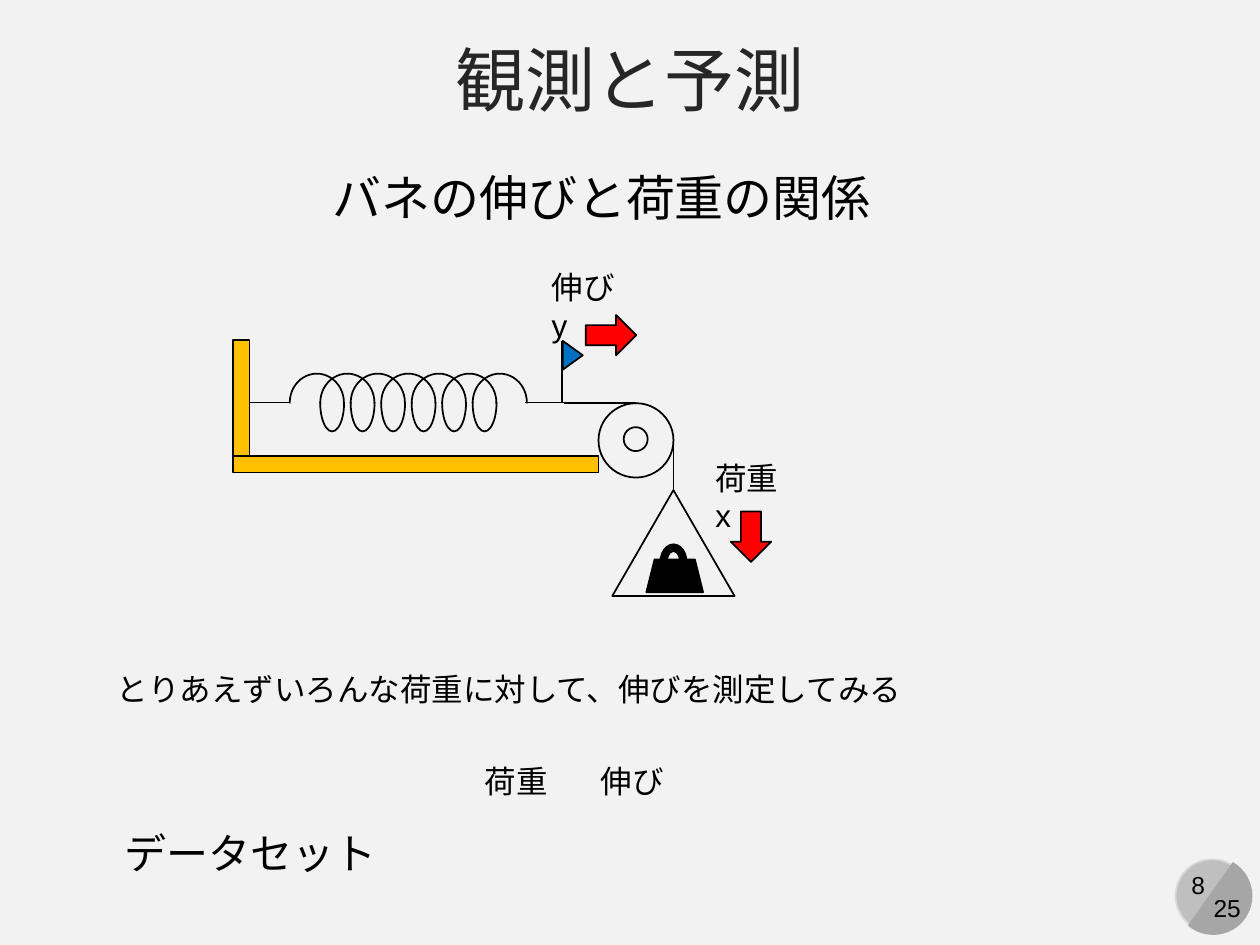
from lxml import etree
from pptx import Presentation
from pptx.dml.color import RGBColor
from pptx.enum.lang import MSO_LANGUAGE_ID as Language
from pptx.enum.shapes import MSO_CONNECTOR as Connector, MSO_SHAPE as Shape
from pptx.enum.text import MSO_ANCHOR as Anchor, PP_ALIGN as Align
from pptx.oxml.ns import qn
from pptx.util import Inches, Pt

BACKGROUND = RGBColor(0xF2, 0xF2, 0xF2)
TITLE = RGBColor(0x26, 0x26, 0x26)
BLACK = RGBColor(0x00, 0x00, 0x00)
WOOD = RGBColor(0xFF, 0xC0, 0x00)
ARROW = RGBColor(0xFF, 0x00, 0x00)
FLAG = RGBColor(0x00, 0x70, 0xC0)
BADGE = RGBColor(0xBF, 0xBF, 0xBF)
BADGE_EDGE = RGBColor(0xD9, 0xD9, 0xD9)
BADGE_SHADE = RGBColor(0xA6, 0xA6, 0xA6)

COLUMNS = 100  # square cells: 100 columns by 75 rows
COILS = 7
COIL_PITCH = 2.42
WIRE_ROW = 31.95


class SlideBuilder:
    """Holds the text style and the slide, and places elements on the grid."""

    font = {"name": "Arial", "language_id": Language.JAPANESE}

    def __init__(self, presentation):
        self.cell = presentation.slide_width / COLUMNS
        self.slide = presentation.slides.add_slide(presentation.slide_layouts[5])
        fill = self.slide.background.fill
        fill.solid()
        fill.fore_color.rgb = BACKGROUND

    def grid(self, *lengths):
        return [round(length * self.cell) for length in lengths]

    def set_text(self, frame, text, size, color=BLACK, align=Align.LEFT):
        frame.text = text
        paragraph = frame.paragraphs[0]
        paragraph.alignment = align
        font = paragraph.runs[0].font
        for name, value in {**self.font, "size": Pt(size)}.items():
            setattr(font, name, value)
        font.color.rgb = color

    def title(self, text, box, size):
        title = self.slide.shapes.title
        places = zip(("left", "top", "width", "height"), self.grid(*box))
        for name, value in places:
            setattr(title, name, value)
        title.text_frame.vertical_anchor = Anchor.MIDDLE
        self.set_text(title.text_frame, text, size, TITLE, Align.CENTER)

    def text(self, text, box, size=18, wrap=False, align=Align.LEFT):
        frame = self.slide.shapes.add_textbox(*self.grid(*box)).text_frame
        frame.word_wrap = wrap
        self.set_text(frame, text, size, align=align)

    def shape(self, kind, box, fill=None, line=BLACK, rotation=0, adjustments=()):
        shape = self.slide.shapes.add_shape(kind, *self.grid(*box))
        shape.shadow.inherit = False
        shape.rotation = rotation
        for index, value in enumerate(adjustments):
            shape.adjustments[index] = value
        if fill is None:
            shape.fill.background()
        else:
            shape.fill.solid()
            shape.fill.fore_color.rgb = fill
        if line is None:
            shape.line.fill.background()
        else:
            shape.line.color.rgb = line
            shape.line.width = Pt(1)
        return shape

    def line(self, start, end):
        connector = self.slide.shapes.add_connector(
            Connector.STRAIGHT, *self.grid(*start, *end))
        connector.line.color.rgb = BLACK
        connector.line.width = Pt(1)
        etree.SubElement(connector._element.spPr, qn("a:effectLst"))
        return connector

    def half_loop(self, center, width, rotation):
        """Draw half an ellipse: the upper half at 270 degrees, the lower at 90."""
        length = 4.6
        box = (center - length / 2, WIRE_ROW - width / 2, length, width)
        self.shape(Shape.ARC, box, rotation=rotation, adjustments=(161, 55))


def draw_badge(builder):
    builder.shape(Shape.OVAL, (93.3, 68.2, 5.8, 5.8), BADGE, BADGE_EDGE)
    builder.shape(Shape.CHORD, (93.2, 68, 6.2, 6.2), BADGE_SHADE, None, 255,
                  (27, 141.42))
    builder.text("8", (92.9, 68.6, 4.4, 3.4), 14, align=Align.CENTER)
    builder.text("25", (95.3, 70.4, 4.2, 3.4), 14, align=Align.CENTER)


def draw_spring(builder):
    builder.shape(Shape.RECTANGLE, (18.5, 27, 1.3, 9.2), WOOD)
    builder.shape(Shape.RECTANGLE, (18.5, 36.2, 29, 1.3), WOOD)
    first = 25.15
    for coil in range(COILS):
        center = first + coil * COIL_PITCH
        builder.half_loop(center, 4.3, 270)
        if coil < COILS - 1:
            builder.half_loop(center + COIL_PITCH / 2, 1.9, 90)
    for left, right in ((19.8, 23), (41.7, 44.9)):
        builder.line((left, WIRE_ROW), (right, WIRE_ROW))


def draw_load(builder):
    pulley = builder.shape(Shape.OVAL, (47.5, 32, 5.95, 5.9))
    builder.shape(Shape.OVAL, (49.5, 33.9, 1.9, 1.9))
    builder.line((44.8, 32), (50.4, 32)).end_connect(pulley, 0)
    pan = builder.shape(Shape.ISOSCELES_TRIANGLE, (48.6, 38.9, 9.7, 8.4))
    builder.line((53.45, 34.9), (53.45, 38.9)).end_connect(pan, 0)
    builder.shape(Shape.TRAPEZOID, (51.3, 44.4, 4.5, 2.6), BLACK)
    builder.shape(Shape.BLOCK_ARC, (52.4, 43.2, 2.1, 2.9), BLACK)


def draw_measures(builder):
    builder.shape(Shape.DOWN_ARROW, (58, 40.6, 3.2, 4), ARROW)
    builder.text("荷重 x", (55.8, 35.9, 8.4, 4), wrap=True)
    builder.line((44.6, 32), (44.6, 27.1))
    builder.shape(Shape.ISOSCELES_TRIANGLE, (44.3, 27.4, 2.3, 1.6), FLAG,
                  rotation=90)
    builder.shape(Shape.DOWN_ARROW, (46.9, 24.6, 3.2, 4), ARROW, rotation=270)
    builder.text("伸び y", (42.8, 20.8, 8.4, 4), wrap=True)


def main():
    presentation = Presentation()
    presentation.slide_width = Inches(10)
    presentation.slide_height = Inches(7.5)
    builder = SlideBuilder(presentation)

    draw_badge(builder)
    builder.title("観測と予測", (0, 2.1, 100, 8.2), 40)
    draw_spring(builder)
    draw_load(builder)
    draw_measures(builder)
    builder.text("バネの伸びと荷重の関係", (25.4, 12.8, 45.2, 5.7), 28)
    builder.text("とりあえずいろんな荷重に対して、伸びを測定してみる",
                 (8.3, 52.7, 65.1, 4))
    builder.text("データセット", (8.9, 65.2, 22.2, 5), 24)
    for heading, left in (("伸び", 46.7), ("荷重", 37.5)):
        builder.text(heading, (left, 60, 7.1, 4))

    presentation.save("out.pptx")


if __name__ == "__main__":
    main()
